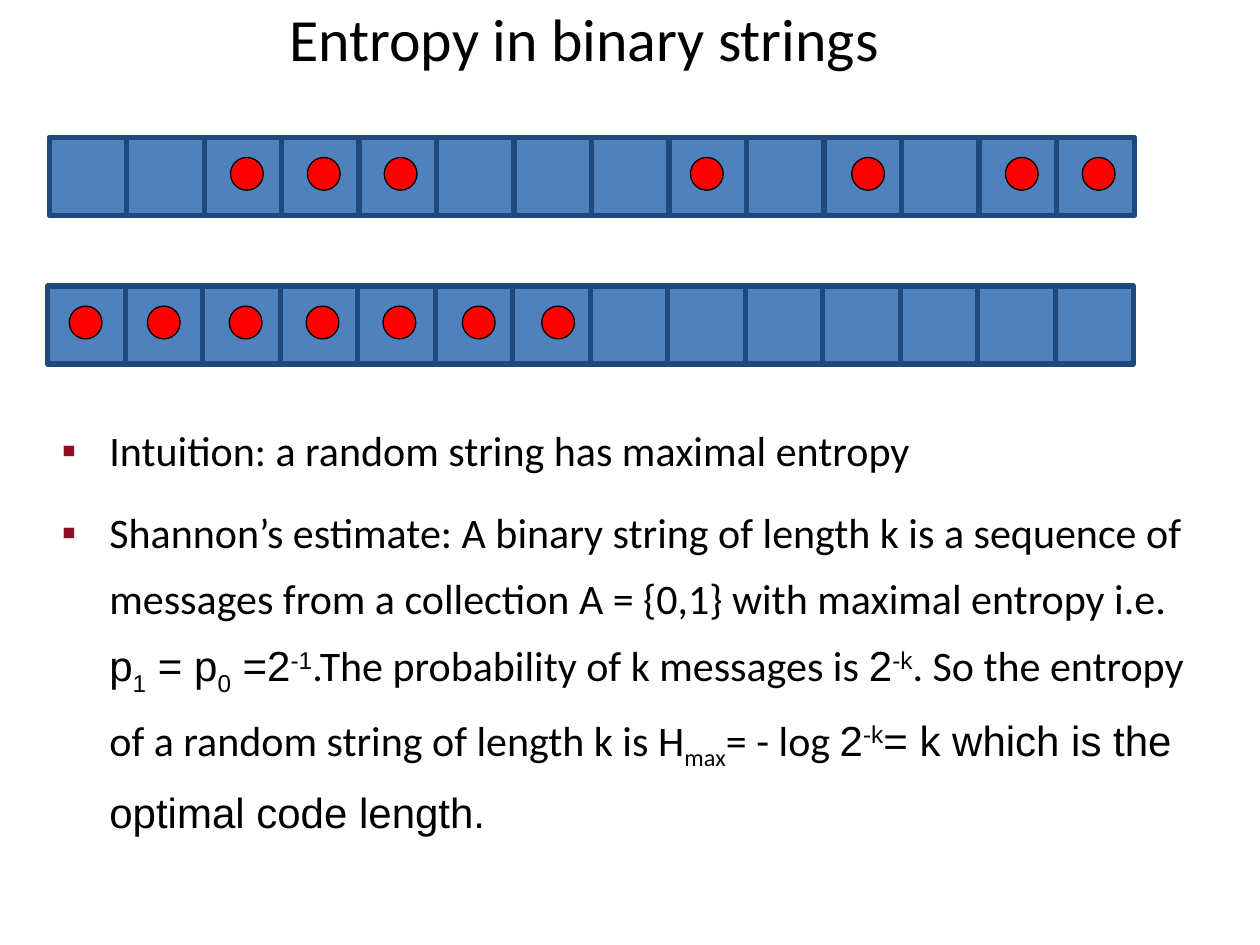
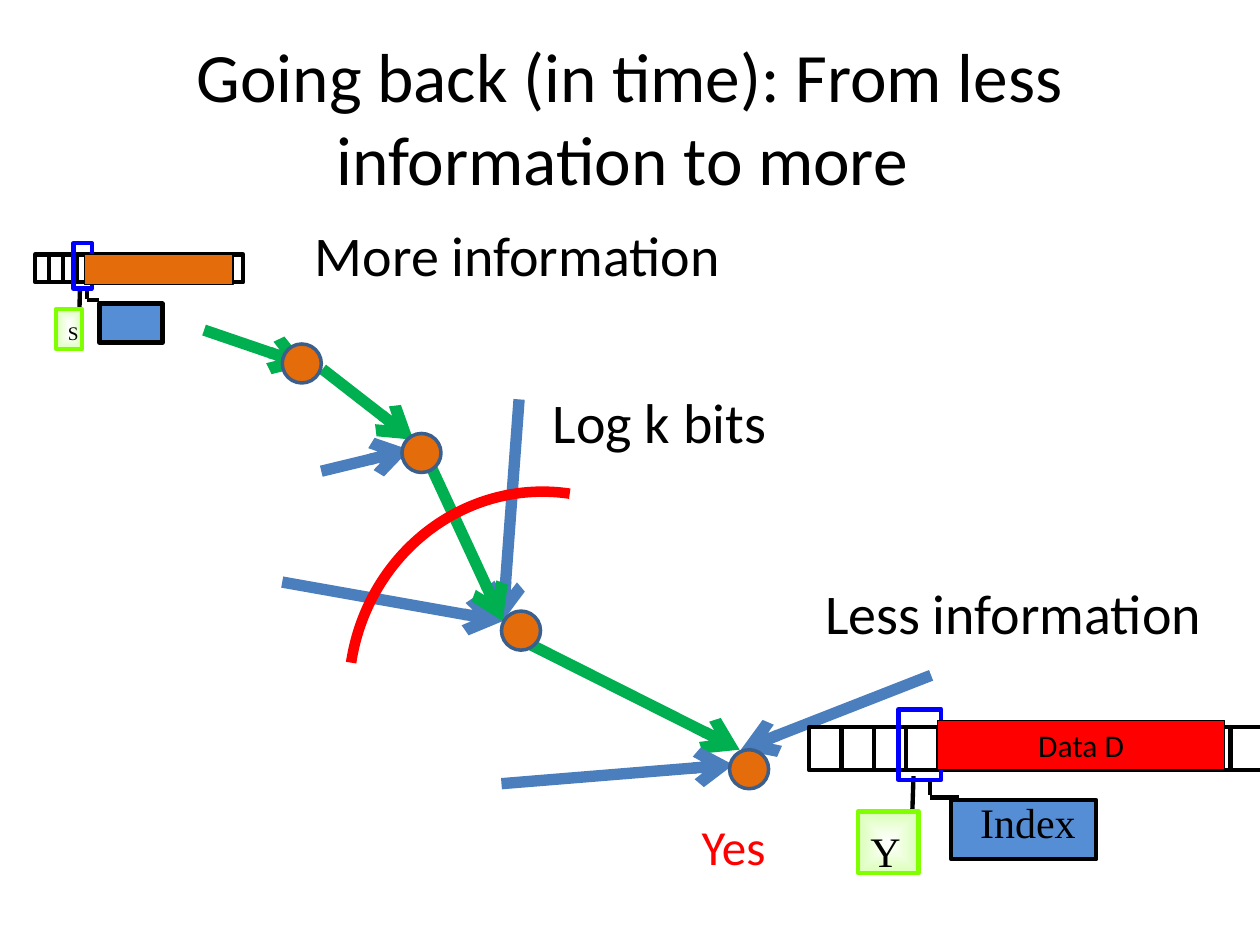
from lxml import etree
from pptx import Presentation, util as u
from pptx.dml.color import RGBColor
from pptx.enum import shapes as kinds, text as txt
from pptx.oxml.ns import qn

PX = 9144  # 100 px to the inch

BLACK = RGBColor(0, 0, 0)
WHITE = RGBColor(255, 255, 255)
RED = RGBColor(255, 0, 0)
CELL_BLUE = RGBColor(0x4F, 0x81, 0xBD)
CELL_EDGE = RGBColor(0x1F, 0x49, 0x7D)
GREEN = RGBColor(0x00, 0xB0, 0x50)
ARROW_BLUE = RGBColor(0x4B, 0x7E, 0xBC)
ORANGE = RGBColor(0xE4, 0x6C, 0x0A)
NODE_EDGE = RGBColor(0x3A, 0x5F, 0x8C)
WINDOW_BLUE = RGBColor(0, 0, 255)
INDEX_BLUE = RGBColor(0x55, 0x8E, 0xD5)
LIME = RGBColor(0x7F, 0xFF, 0x00)
PALE_LIME = RGBColor(0xDB, 0xFF, 0xB8)
BULLET_RED = "8C1022"

SANS, ARIAL, SERIF = "Calibri", "Arial", "Times New Roman"
SUB, SUPER = -25000, 30000
RECT, OVAL, ARC = (kinds.MSO_SHAPE.RECTANGLE, kinds.MSO_SHAPE.OVAL,
                   kinds.MSO_SHAPE.ARC)

# Slide 1: binary strings and the bullets about them
ENTROPY_TITLE = "Entropy in binary strings"
CELL_COUNT, CELL_SIZE, CELL_STEP, DOT_SIZE = 14, 62, 61.5, 26
STRINGS = [  # left, top, left edges of the ones
    (39, 109, [183, 244, 305, 548, 676, 798, 859]),
    (38, 227, [55, 117, 182, 243, 304, 367, 430]),
]
# Each run: text, font, baseline shift
BULLETS = [
    [("Intuition: a random string has maximal entropy", SANS, 0)],
    [("Shannon’s estimate: A binary string of length k is a sequence of "
      "messages from a collection A = {0,1} with maximal entropy i.e. ", SANS, 0),
     ("p", ARIAL, 0), ("1", ARIAL, SUB), (" = p", ARIAL, 0), ("0", ARIAL, SUB),
     (" =2", ARIAL, 0), ("-1", ARIAL, SUPER),
     (".The probability of k messages is ", SANS, 0),
     ("2", ARIAL, 0), ("-k", ARIAL, SUPER),
     (". So the entropy of a random string of length k is H", SANS, 0),
     ("max", SANS, SUB), ("= - log ", SANS, 0),
     ("2", ARIAL, 0), ("-k", ARIAL, SUPER),
     ("= k which is the optimal code length.", ARIAL, 0)],
]

# Slide 2: paths through states, and two machines
BACK_TITLE = "Going back (in time): From less information to more "
STEPS = [  # from, to, colour
    ((406, 504), (587, 595), GREEN),
    ((739, 536), (588, 595), ARROW_BLUE),
    ((224, 462), (399, 493), ARROW_BLUE),
    ((398, 622), (582, 607), ARROW_BLUE),
    ((256, 293), (328, 349), GREEN),
    ((412, 317), (399, 493), ARROW_BLUE),
    ((162, 262), (244, 290), GREEN),
    ((255, 374), (325, 357), ARROW_BLUE),
    ((341, 368), (399, 493), GREEN),
]
STATES, STATE_SIZE = [(319, 344), (224, 273), (398, 485), (579, 595)], 31
LABELS = [  # text, box, size, colour
    ("Yes", (547, 643, 71, 57), 28, RED),
    ("Log k bits", (429, 303, 191, 64), 32, BLACK),
    ("More information", (240, 170, 355, 64), 32, BLACK),
    ("Less information", (645, 454, 332, 64), 32, BLACK),
]
TAPE_CELLS = 15
MACHINES = [
    dict(tape=(642, 577, 386, 34), ticks=13, index=(755, 635, 115, 47),
         data=(744, 572, 228, 39), data_fill=RED, data_text="Data D",
         labels=[("Y", (681, 650, 44, 50), 24),
                 ("Index", (768, 627, 118, 50), 24)]),
    dict(tape=(28, 202, 165, 22), ticks=14, index=(79, 241, 50, 31),
         data=(67, 202, 118, 24), data_fill=ORANGE, data_text="",
         labels=[("S", (44, 250, 29, 28), 11)]),
]
# Machine parts, relative to a tape of this size
TAPE_WIDTH, TAPE_HEIGHT = 386, 34
WIRES = [((83, 39), (82, 70)), ((96, 41), (96, 54)), ((96, 56), (119, 56))]
STATE_BOX, WINDOW = (39, 67, 48, 49), (71, -14, 34, 56)


def emu(lengths):
    return [round(length * PX) for length in lengths]


def add_shape(parent, kind, box, fill=None, line=BLACK, width=2.5):
    shape = parent.add_shape(kind, *emu(box))
    shape.shadow.inherit = False
    if fill is None:
        shape.fill.background()
    else:
        shape.fill.solid()
        shape.fill.fore_color.rgb = fill
    shape.line.color.rgb = line
    shape.line.width = u.Pt(width)
    return shape


def add_line(parent, start, end, color=BLACK, width=2.5, arrow=False):
    line = parent.add_connector(kinds.MSO_CONNECTOR.STRAIGHT, *emu(start + end))
    line.line.color.rgb = color
    line.line.width = u.Pt(width)
    props = line._element.spPr
    if arrow:
        etree.SubElement(props.find(qn("a:ln")), qn("a:tailEnd"), type="arrow")
    etree.SubElement(props, qn("a:effectLst"))


def write(frame, paragraphs, size=18, color=BLACK, font=SANS, wrap=False,
          align=None, anchor=txt.MSO_ANCHOR.TOP, bullet=None):
    """Fill a text frame from a string or from lists of runs."""
    if isinstance(paragraphs, str):
        paragraphs = [[(paragraphs, font, 0)]]
    frame.word_wrap = wrap
    frame.vertical_anchor = anchor
    for number, runs in enumerate(paragraphs):
        para = frame.add_paragraph() if number else frame.paragraphs[0]
        para.alignment = align
        if bullet:
            para.line_spacing = 1.3
            para.space_before = u.Pt(size * 0.4)
            props = para._p.get_or_add_pPr()
            props.set("marL", str(38 * PX))
            props.set("indent", str(-38 * PX))
            tint = etree.SubElement(props, qn("a:buClr"))
            etree.SubElement(tint, qn("a:srgbClr"), val=BULLET_RED)
            etree.SubElement(props, qn("a:buFont"), typeface=ARIAL)
            etree.SubElement(props, qn("a:buChar"), char=bullet)
        for words, face, shift in runs:
            run = para.add_run()
            run.text = words
            run.font.size = u.Pt(size)
            run.font.name = face
            run.font.color.rgb = color
            if shift:
                run.font._element.set("baseline", str(shift))


def add_text(parent, box, paragraphs, **style):
    write(parent.add_textbox(*emu(box)).text_frame, paragraphs, **style)


def add_title(parent, box, title, size):
    add_text(parent, box, title, size=size, wrap=True,
             align=txt.PP_ALIGN.CENTER, anchor=txt.MSO_ANCHOR.MIDDLE)


def glow(shape, inner, outer):
    """Gradient from the middle of the shape to its edge."""
    shape.fill.gradient()
    for stop, color in zip(shape.fill.gradient_stops, (inner, outer)):
        stop.color.rgb = color
    gradient = shape._element.spPr.find(qn("a:gradFill"))
    gradient.remove(gradient.find(qn("a:lin")))
    spread = etree.Element(qn("a:path"), {"path": "shape"})
    middle = dict.fromkeys("ltrb", "50000")
    etree.SubElement(spread, qn("a:fillToRect"), middle)
    gradient.find(qn("a:gsLst")).addnext(spread)


def add_machine(parent, tape, ticks, index, data, data_fill, data_text, labels):
    left, top, width, height = tape
    sx, sy = width / TAPE_WIDTH, height / TAPE_HEIGHT

    def place(x, y):
        return left + x * sx, top + y * sy

    def place_box(x, y, w, h):
        return place(x, y) + (w * sx, h * sy)

    group = parent.add_group_shape().shapes
    add_shape(group, RECT, tape)
    for tick in range(1, ticks + 1):
        x = left + tick * width / TAPE_CELLS
        add_line(group, (x, top), (x, top + height))
    for start, end in WIRES:
        add_line(group, place(*start), place(*end))
    glow(add_shape(group, RECT, place_box(*STATE_BOX), line=LIME),
         WHITE, PALE_LIME)
    add_shape(group, RECT, index, INDEX_BLUE)
    for words, box, size in labels:
        add_text(group, box, words, size=size, font=SERIF)
    add_shape(group, RECT, place_box(*WINDOW), line=WINDOW_BLUE)
    bar = add_shape(group, RECT, data, data_fill, width=0.75)
    if data_text:
        write(bar.text_frame, data_text, align=txt.PP_ALIGN.CENTER,
              anchor=txt.MSO_ANCHOR.MIDDLE)


def build_entropy(parent):
    add_title(parent, (47, 0, 833, 59), ENTROPY_TITLE, 34.2)
    for left, top, ones in STRINGS:
        for cell in range(CELL_COUNT):
            box = (left + cell * CELL_STEP, top, CELL_SIZE, CELL_SIZE)
            add_shape(parent, RECT, box, CELL_BLUE, CELL_EDGE, 3)
        for one in ones:
            add_shape(parent, OVAL, (one, top + 16, DOT_SIZE, DOT_SIZE),
                      RED, width=0.75)
    add_text(parent, (39, 320, 914, 359), BULLETS, size=24, wrap=True, bullet="▪")


def build_going_back(parent):
    add_title(parent, (50, 30, 900, 125), BACK_TITLE, 39.6)
    for start, end, color in STEPS:
        add_line(parent, start, end, color, 6.5, arrow=True)
    for state in STATES:
        add_shape(parent, OVAL, state + (STATE_SIZE, STATE_SIZE),
                  ORANGE, NODE_EDGE, 2)
    cut = add_shape(parent, ARC, (270, 397, 317, 303), line=RED, width=6)
    cut.rotation = 278.6
    for machine in MACHINES:
        add_machine(parent, **machine)
    for words, box, size, color in LABELS:
        add_text(parent, box, words, size=size, color=color)


def main():
    deck = Presentation()
    deck.slide_width, deck.slide_height = emu((1000, 750))
    for build in (build_entropy, build_going_back):
        build(deck.slides.add_slide(deck.slide_layouts[6]).shapes)
    deck.save("out.pptx")


if __name__ == "__main__":
    main()
